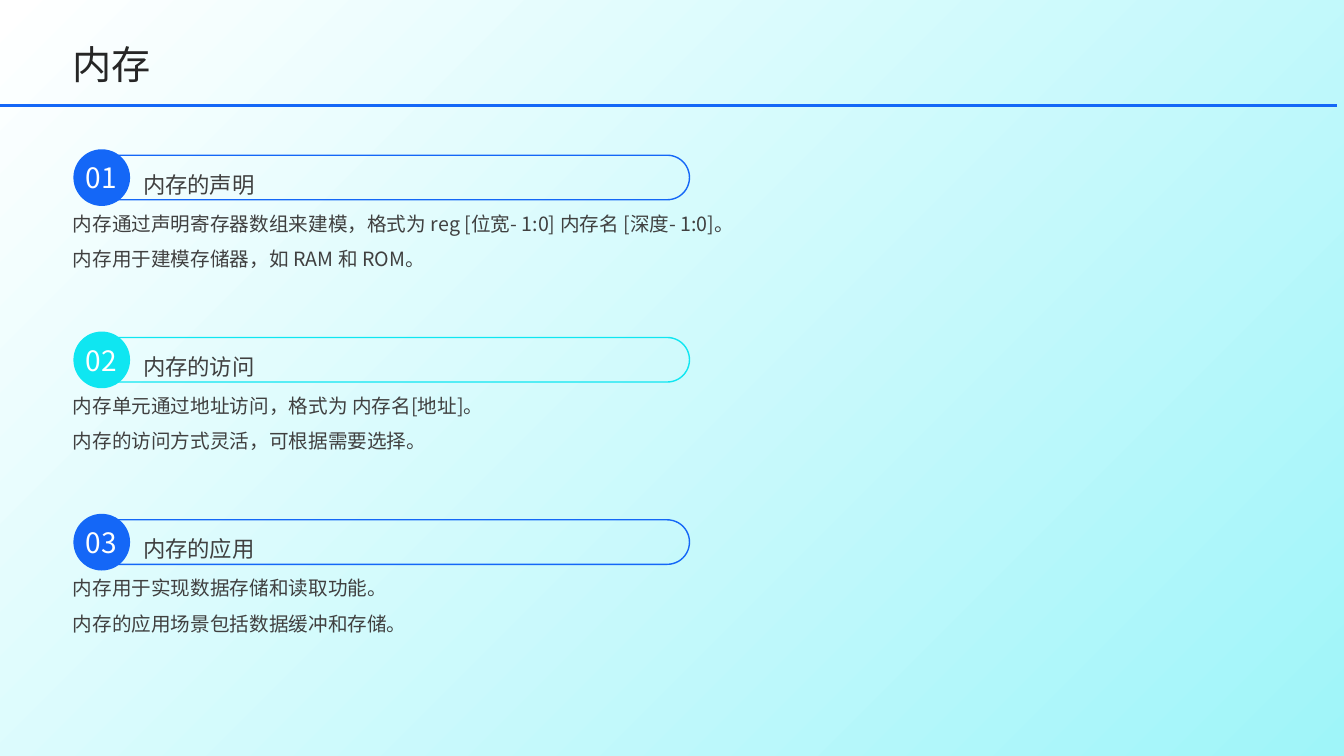
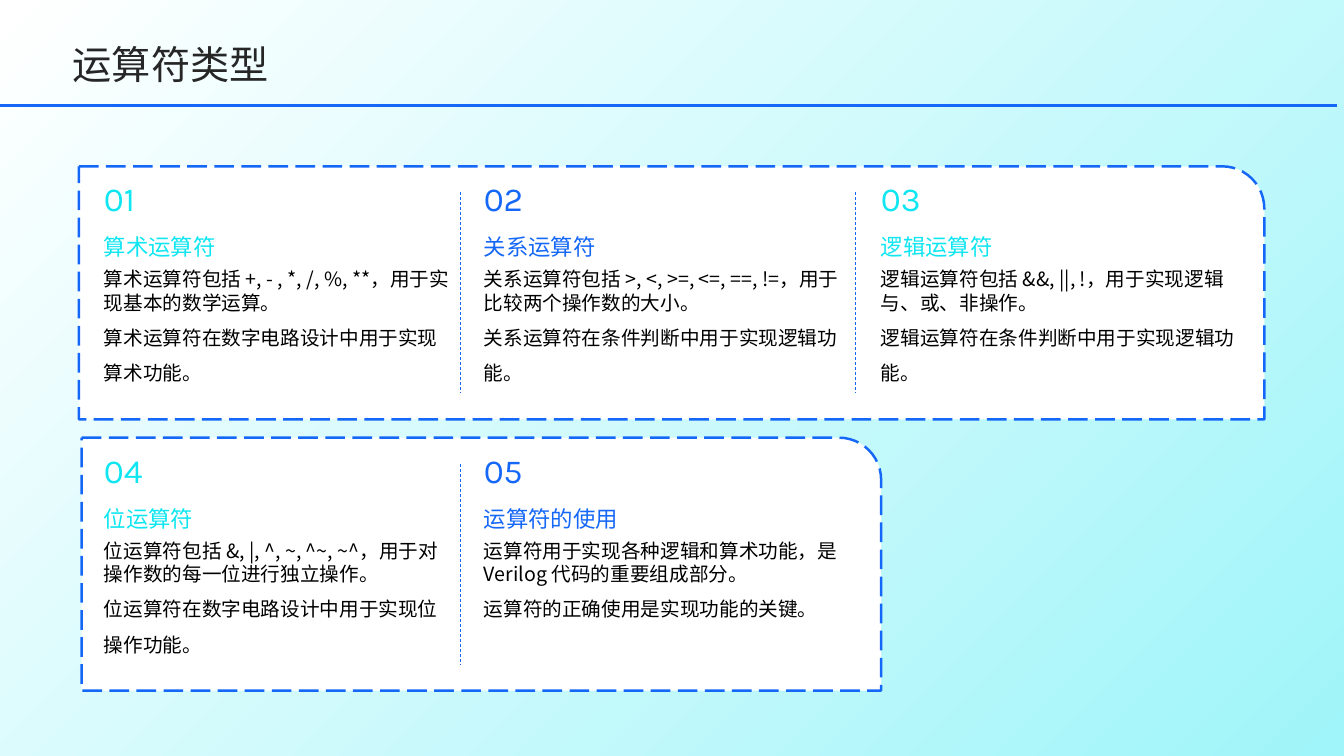
from pptx import Presentation
from pptx.dml.color import RGBColor
from pptx.enum.dml import MSO_LINE
from pptx.enum.shapes import MSO_CONNECTOR, MSO_SHAPE
from pptx.enum.text import MSO_ANCHOR, PP_ALIGN
from pptx.oxml.ns import qn
from pptx.util import Pt
from lxml import etree

# Enum members
RECTANGLE = MSO_SHAPE.RECTANGLE
PILL = MSO_SHAPE.ROUNDED_RECTANGLE
CIRCLE = MSO_SHAPE.OVAL
ROUND_CORNER = MSO_SHAPE.ROUND_1_RECTANGLE
STRAIGHT = MSO_CONNECTOR.STRAIGHT
DASH, LONG_DASH = MSO_LINE.DASH, MSO_LINE.LONG_DASH
TOP, MIDDLE = MSO_ANCHOR.TOP, MSO_ANCHOR.MIDDLE
LEFT, CENTER = PP_ALIGN.LEFT, PP_ALIGN.CENTER

# Shared theme
WIDTH, HEIGHT = 960, 540
BLUE, CYAN, WHITE, BLACK = "1467F7", "0FE6F1", "FFFFFF", "000000"
PALE_CYAN, TITLE_GREY, TEXT_GREY = "9FF5F9", "262626", "404040"
BODY_FONT, NUMBER_FONT = "Noto Sans CJK SC", "Karla"
MARGIN = 52

MEMORY_TOPICS = [
    ("内存的声明", ["内存通过声明寄存器数组来建模，格式为 reg [位宽- 1:0] 内存名 [深度- 1:0]。",
               "内存用于建模存储器，如 RAM 和 ROM。"]),
    ("内存的访问", ["内存单元通过地址访问，格式为 内存名[地址]。",
               "内存的访问方式灵活，可根据需要选择。"]),
    ("内存的应用", ["内存用于实现数据存储和读取功能。",
               "内存的应用场景包括数据缓冲和存储。"]),
]
OPERATOR_TOPICS = [
    ("算术运算符", ["算术运算符包括 +, - , *, /, %, **，用于实现基本的数学运算。",
               "算术运算符在数字电路设计中用于实现算术功能。"]),
    ("关系运算符", ["关系运算符包括 >, <, >=, <=, ==, !=，用于比较两个操作数的大小。",
               "关系运算符在条件判断中用于实现逻辑功能。"]),
    ("逻辑运算符", ["逻辑运算符包括 &&, ||, !，用于实现逻辑与、或、非操作。",
               "逻辑运算符在条件判断中用于实现逻辑功能。"]),
    ("位运算符", ["位运算符包括 &, |, ^, ~, ^~, ~^，用于对操作数的每一位进行独立操作。",
              "位运算符在数字电路设计中用于实现位操作功能。"]),
    ("运算符的使用", ["运算符用于实现各种逻辑和算术功能，是 Verilog 代码的重要组成部分。",
                "运算符的正确使用是实现功能的关键。"]),
]
# Left edge and text width of each operator column, and the rules between them
OPERATOR_COLUMNS = [(74.2, 247), (345.6, 257.8), (629.3, 256.3)]
DIVIDERS = [329, 611.3]


def color(value):
    return RGBColor.from_string(value)


def add_text(page, box, lines, size=14, ink=BLACK, font=BODY_FONT,
             align=LEFT, anchor=MIDDLE, spacings=(1.0,)):
    """Place one paragraph per line, each with its own line spacing."""
    frame = page.shapes.add_textbox(*map(Pt, box)).text_frame
    frame.word_wrap = True
    frame.vertical_anchor = anchor
    frame.margin_left = frame.margin_right = 0
    frame.margin_top = frame.margin_bottom = 0
    for index, (line, spacing) in enumerate(zip(lines, spacings)):
        para = frame.add_paragraph() if index else frame.paragraphs[0]
        para.alignment = align
        para.line_spacing = spacing
        span = para.add_run()
        span.text = line
        span.font.size = Pt(size)
        span.font.name = font
        span.font.color.rgb = color(ink)
        east_asian = etree.SubElement(span.font._element, qn("a:ea"))
        east_asian.set("typeface", font)


def add_body(page, box, lines, ink):
    add_text(page, box, lines, ink=ink, anchor=TOP, spacings=(1.0, 1.5))


def add_shape(page, kind, box, fill=None, line=None, weight=1, dash=None):
    shape = page.shapes.add_shape(kind, *map(Pt, box))
    shape.shadow.inherit = False
    if fill:
        shape.fill.solid()
        shape.fill.fore_color.rgb = color(fill)
    else:
        shape.fill.background()
    if line:
        shape.line.color.rgb = color(line)
        shape.line.width = Pt(weight)
        shape.line.dash_style = dash
    else:
        shape.line.fill.background()
    return shape


def add_line(page, start, end, weight, dash=None):
    line = page.shapes.add_connector(STRAIGHT, *map(Pt, (*start, *end)))
    line.line.color.rgb = color(BLUE)
    line.line.width = Pt(weight)
    line.line.dash_style = dash
    etree.SubElement(line._element.spPr, qn("a:effectLst"))


def add_page(deck, title):
    """Blank page with gradient backdrop, title and title rule."""
    page = deck.slides.add_slide(deck.slide_layouts[6])
    backdrop = add_shape(page, RECTANGLE, (0, 0, WIDTH, HEIGHT))
    backdrop.fill.gradient()
    backdrop.fill.gradient_angle = 315
    for stop, value, position in zip(backdrop.fill.gradient_stops, (WHITE, PALE_CYAN), (0, 1)):
        stop.color.rgb = color(value)
        stop.position = position
    add_text(page, (MARGIN, 25.2, 840, 36.7), [title], size=28, ink=TITLE_GREY, spacings=(1.1,))
    add_line(page, (0, 75.5), (955, 75.5), 2.25)
    return page


def add_topic_row(page, left, top, number, topic, accent):
    """Numbered pill heading with two lines of text below."""
    heading, lines = topic
    pill = add_shape(page, PILL, (left + 4.9, top + 4.3, 435.6, 31.8), line=accent)
    pill.adjustments[0] = 0.5
    add_shape(page, CIRCLE, (left + 0.4, top, 40.5, 40.5), fill=accent)
    add_text(page, (left + 4.3, top + 7, 32.4, 26.6), [f"{number:02}"], size=20,
             ink=WHITE, align=CENTER)
    add_text(page, (left + 50.2, top + 8.6, 374.4, 23), [heading], size=16,
             ink=TEXT_GREY, spacings=(1.5,))
    add_body(page, (left, top + 44.6, 855.4, 66.2), lines, TEXT_GREY)


def add_operator_cell(page, left, top, width, number, topic, accent):
    """Number, heading and text of one operator group."""
    heading, lines = topic
    add_text(page, (left, top + 8.6, 53, 28.8), [f"{number:02}"], size=24,
             ink=accent, font=NUMBER_FONT)
    add_text(page, (left, top + 41.4, width, 30.2), [heading], size=16,
             ink=accent, spacings=(1.1,))
    add_body(page, (left, top + 72, width, 98), lines, BLACK)


def add_operator_panel(page, box, first_number, topics):
    """Dashed panel holding operator groups side by side."""
    top = box[1]
    add_shape(page, ROUND_CORNER, box, fill=WHITE, line=BLUE, weight=1.75, dash=LONG_DASH)
    for index, (topic, (left, width)) in enumerate(zip(topics, OPERATOR_COLUMNS)):
        accent = BLUE if index % 2 else CYAN
        add_operator_cell(page, left, top, width, first_number + index, topic, accent)
    for x in DIVIDERS[:len(topics) - 1]:
        add_line(page, (x, top + 18.7), (x, top + 162.2), 0.5, DASH)


def build_memory_page(deck):
    page = add_page(deck, "内存")
    for index, topic in enumerate(MEMORY_TOPICS):
        accent = CYAN if index % 2 else BLUE
        add_topic_row(page, MARGIN, 106.6 + index * 130.2, index + 1, topic, accent)


def build_operator_page(deck):
    page = add_page(deck, "运算符类型")
    add_operator_panel(page, (56.4, 118.8, 846.7, 180.7), 1, OPERATOR_TOPICS[:3])
    add_operator_panel(page, (58.4, 312.6, 571, 180.7), 4, OPERATOR_TOPICS[3:])


def main():
    deck = Presentation()
    deck.slide_width, deck.slide_height = Pt(WIDTH), Pt(HEIGHT)
    build_memory_page(deck)
    build_operator_page(deck)
    deck.save("out.pptx")


if __name__ == "__main__":
    main()
